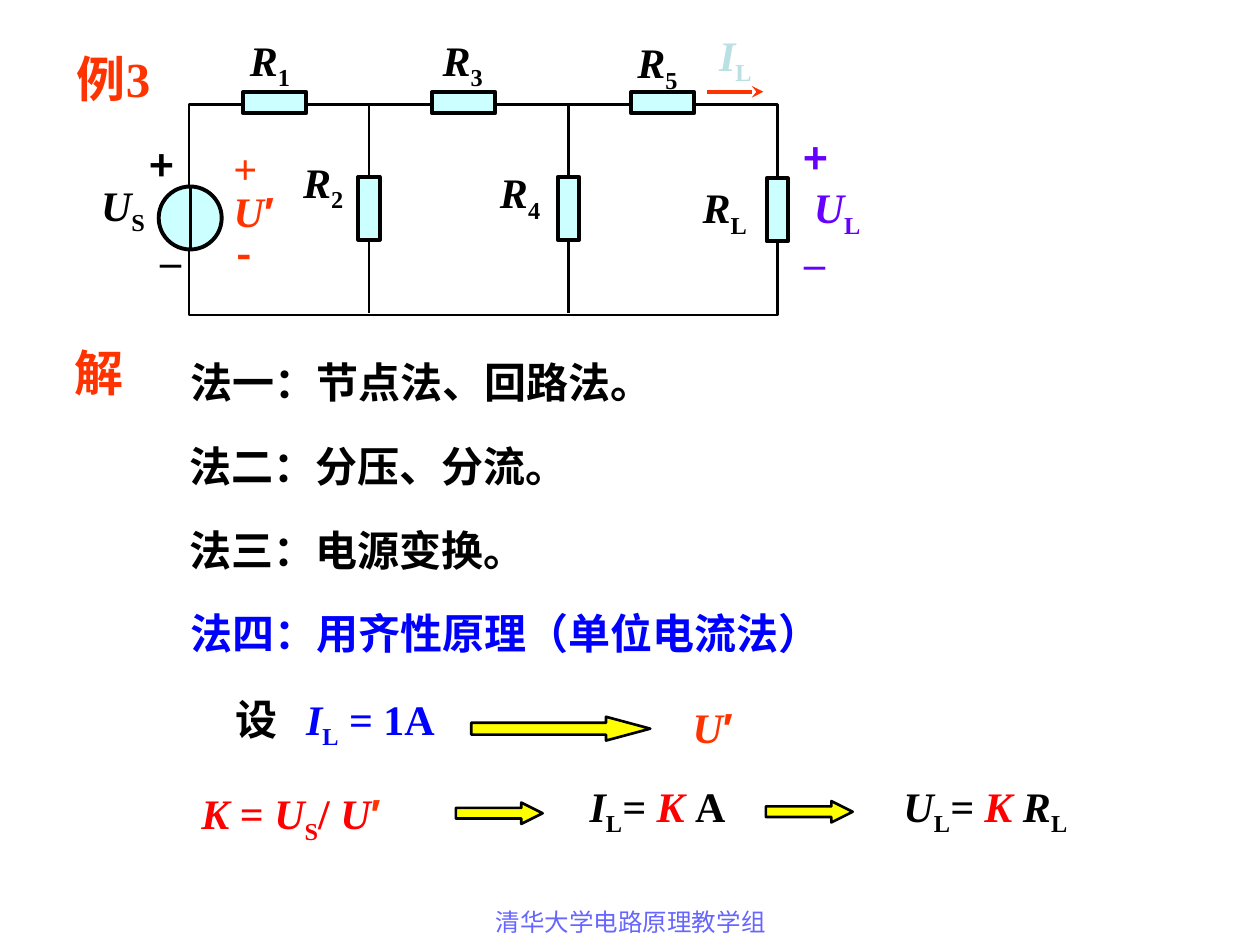
from lxml import etree
from pptx import Presentation
from pptx.dml.color import RGBColor
from pptx.enum import shapes, text
from pptx.oxml.ns import qn
from pptx.util import Cm, Pt

BLACK, BLUE, RED, ORANGE = "000000", "0000FF", "FF0000", "FF3300"
VIOLET, PALE, LILAC = "6600FF", "BBE0E3", "6666FF"
CYAN, YELLOW = "CCFFFF", "FFFF00"
SERIF, SANS, CJK = "Times New Roman", "Arial", "Noto Sans CJK SC"

# Span marks: i italic, s subscript, a Arial, n Noto
U_PRIME = [("U", "i"), ("′", "a")]

METHODS = [
    ("法一：节点法、回路法。", BLACK),
    ("法二：分压、分流。", BLACK),
    ("法三：电源变换。", BLACK),
    ("法四：用齐性原理（单位电流法）", BLUE),
]
METHOD_LEFT, METHOD_TOP, METHOD_STEP = 3.56, 7.06, 1.69

# Symbol, subscript, colour, left, top, width
SYMBOLS = [
    ("R", "1", BLACK, 4.67, 0.56, 1.55),
    ("R", "3", BLACK, 8.48, 0.56, 1.7),
    ("R", "5", BLACK, 12.52, 0.61, 1.47),
    ("R", "2", BLACK, 5.74, 3.02, 1.55),
    ("R", "4", BLACK, 9.75, 3.23, 1.47),
    ("R", "L", BLACK, 13.77, 3.53, 1.68),
    ("U", "S", BLACK, 1.78, 3.48, 1.4),
    ("U", "L", VIOLET, 15.72, 3.53, 2.31),
    ("I", "L", PALE, 13.77, 0.46, 2.11),
]

# Sign, mark, colour, left, top, width
SIGNS = [
    ("+", "n", BLACK, 2.77, 2.69, 0.99),
    ("–", "", BLACK, 2.97, 4.6, 0.94),
    ("+", "n", VIOLET, 15.95, 2.54, 0.99),
    ("–", "", VIOLET, 15.95, 4.65, 0.94),
    ("+", "", ORANGE, 4.45, 2.74, 0.99),
    ("-", "n", ORANGE, 4.52, 4.45, 0.79),
]

# Spans (text, marks, optional colour), colour, left, top, width, height
EQUATIONS = [
    (U_PRIME, ORANGE, 4.42, 3.61, 1.4, 1.27),
    (U_PRIME, ORANGE, 13.67, 14.02, 1.4, 1.27),
    ([("I", "i"), ("L", "s"), ("=", "i"), (" K ", "i", RED), ("A", "")],
     BLACK, 11.63, 15.6, 3.25, 1.42),
    ([("U", "i"), ("L", "s"), ("=", "i"), (" K ", "i", RED), ("R", "i"), ("L", "s")],
     BLACK, 17.96, 15.6, 3.81, 1.42),
]
ASSUMPTION = [("设\t", "", BLACK), ("I", "i"), ("L", "s"), (" = 1A", "")]
RATIO = [("K ", "i"), ("= ", ""), ("U", "i"), ("S", "s"), ("/ ", ""),
         ("U", "i"), ("′", "a", ORANGE)]

# Centre x, centre y, rotation
RESISTORS = [
    (5.54, 2.07, 0), (9.35, 2.07, 0), (13.36, 2.07, 0),
    (7.44, 4.2, 270), (11.46, 4.2, 270), (15.67, 4.23, 270),
]
RESISTOR_LENGTH, RESISTOR_WIDTH = 1.27, 0.43
BRANCHES = [7.44, 11.46]

# Left, top, width, height, head length ratio
STEP_ARROWS = [
    (9.5, 14.45, 3.61, 0.48, 1.86),
    (9.19, 16.18, 1.75, 0.43, 1),
    (15.44, 16.15, 1.75, 0.43, 1),
]

deck = Presentation()
deck.slide_width, deck.slide_height = Cm(25.4), Cm(19.05)
page = deck.slides.add_slide(deck.slide_layouts[6])


def colour(value):
    return RGBColor.from_string(value)


def add_shape(kind, left, top, width, height, fill=None, weight=1.5):
    shape = page.shapes.add_shape(kind, Cm(left), Cm(top), Cm(width), Cm(height))
    shape.shadow.inherit = False
    if fill:
        shape.fill.solid()
        shape.fill.fore_color.rgb = colour(fill)
    else:
        shape.fill.background()
    shape.line.color.rgb = colour(BLACK)
    shape.line.width = Pt(weight)
    return shape


def add_line(x1, y1, x2, y2, weight=1.5, ink=BLACK):
    line = page.shapes.add_connector(
        shapes.MSO_CONNECTOR.STRAIGHT, Cm(x1), Cm(y1), Cm(x2), Cm(y2))
    line.line.color.rgb = colour(ink)
    line.line.width = Pt(weight)
    etree.SubElement(line._element.spPr, qn("a:effectLst"))
    return line


def add_text(spans, ink, left, top, width, height, size=24, bold=True,
             wrap=False, align=text.PP_ALIGN.CENTER, tab=None):
    box = page.shapes.add_textbox(Cm(left), Cm(top), Cm(width), Cm(height))
    frame = box.text_frame
    frame.word_wrap = wrap
    frame.vertical_anchor = text.MSO_ANCHOR.MIDDLE
    para = frame.paragraphs[0]
    para.alignment = align
    if tab:
        tabs = etree.SubElement(para._p.get_or_add_pPr(), qn("a:tabLst"))
        etree.SubElement(tabs, qn("a:tab"), pos=str(Cm(tab)), algn="l")
    for words, marks, *own in spans:
        span = para.add_run()
        span.text = words
        face = SANS if "a" in marks else CJK if "n" in marks else SERIF
        look = {"name": face, "size": Pt(size), "bold": bold, "italic": "i" in marks}
        for key, value in look.items():
            setattr(span.font, key, value)
        span.font.color.rgb = colour(own[0] if own else ink)
        properties = span._r.get_or_add_rPr()
        if "s" in marks:
            properties.set("baseline", "-25000")
        if any(letter > "\u3000" for letter in words):
            etree.SubElement(properties, qn("a:ea"), typeface=CJK)


# Circuit
add_shape(shapes.MSO_SHAPE.RECTANGLE, 3.81, 2.11, 11.86, 4.24)
for x in BRANCHES:
    add_line(x, 2.08, x, 6.3)
for x, y, turn in RESISTORS:
    resistor = add_shape(
        shapes.MSO_SHAPE.RECTANGLE, x - RESISTOR_LENGTH / 2, y - RESISTOR_WIDTH / 2,
        RESISTOR_LENGTH, RESISTOR_WIDTH, CYAN, 2.25)
    resistor.rotation = turn
add_shape(shapes.MSO_SHAPE.OVAL, 3.2, 3.76, 1.27, 1.27, CYAN, 2.25)
add_line(3.84, 3.76, 3.84, 5.03, 2.25)
current = add_line(14.25, 1.85, 15.39, 1.85, 2.25, ORANGE)
etree.SubElement(current.line._get_or_add_ln(), qn("a:tailEnd"), type="stealth")

for symbol, index, ink, left, top, width in SYMBOLS:
    add_text([(symbol, "i"), (index, "s")], ink, left, top, width, 1.42)
for sign, marks, ink, left, top, width in SIGNS:
    add_text([(sign, marks)], ink, left, top, width, 1.27)

# Headings and methods
add_text([("例3", "")], ORANGE, 1.17, 0.84, 2.24, 1.45, size=28)
add_text([("解", "")], ORANGE, 1.24, 6.78, 1.5, 1.45, size=28)
for row, (words, ink) in enumerate(METHODS):
    add_text([(words, "")], ink, METHOD_LEFT, METHOD_TOP + row * METHOD_STEP,
             0.51 + 0.85 * len(words), 1.27)

# Derivation
for left, top, width, height, head in STEP_ARROWS:
    arrow = add_shape(shapes.MSO_SHAPE.RIGHT_ARROW, left, top, width, height, YELLOW)
    arrow.adjustments[1] = head
for equation in EQUATIONS:
    add_text(*equation)
add_text(ASSUMPTION, BLUE, 4.5, 13.84, 4.83, 1.42,
         wrap=True, align=text.PP_ALIGN.LEFT, tab=1.42)
add_text(RATIO, RED, 3.81, 15.75, 4.39, 1.42, wrap=True, align=text.PP_ALIGN.LEFT)

add_text([("清华大学电路原理教学组", "")], LILAC, 8.69, 18.11, 8.05, 0.94,
         size=14, bold=False, wrap=True)

deck.save("out.pptx")
